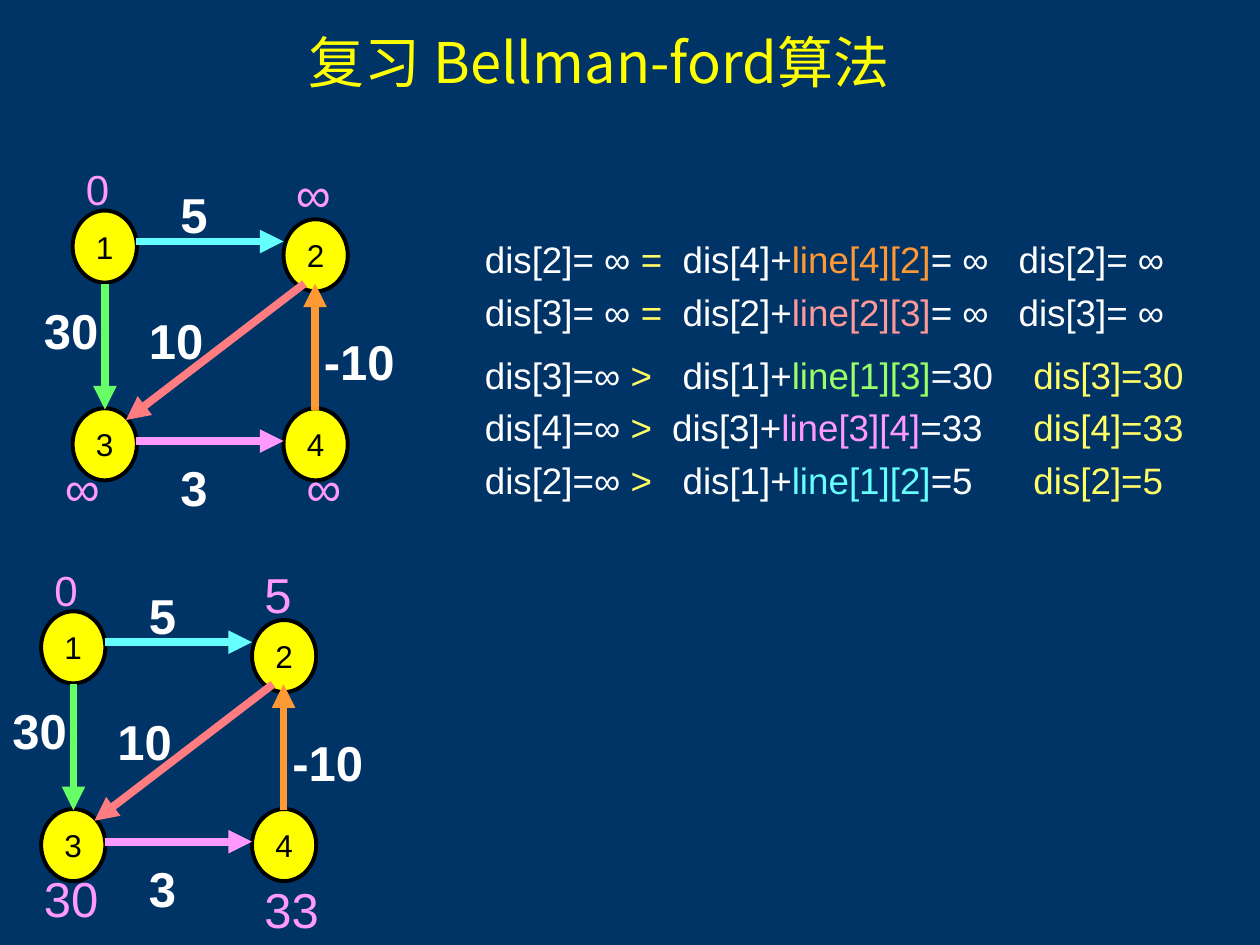
from lxml.etree import SubElement
from pptx import Presentation
from pptx.dml.color import RGBColor
from pptx.enum.shapes import MSO_CONNECTOR as CONNECTOR, MSO_SHAPE as SHAPE
from pptx.enum.text import MSO_ANCHOR as ANCHOR, PP_ALIGN as ALIGN
from pptx.oxml.ns import qn
from pptx.util import Pt

NAVY, WHITE, BLACK, YELLOW = "003366", "FFFFFF", "000000", "FFFF00"
PALE_YELLOW, PINK, ORANGE, CYAN = "FFFF66", "FF99FF", "FF9933", "66FFFF"
CJK_FONT = "Noto Sans CJK SC"

# Graph geometry in points, relative to the upper graph
NODES = {"1": (41.5, 120.3), "2": (162, 125.3),
         "3": (41.5, 233.3), "4": (162, 233.3)}
NODE_W, NODE_H = 36.7, 41.2
# from, to, colour, weight, weight position
EDGES = [
    ((60, 162), (60, 234), "66FF66", "30", (18, 168)),
    ((78, 252), (162, 252), PINK, "3", (96, 258)),
    ((180, 234), (180, 162), ORANGE, "-10", (178, 186)),
    ((174, 162), (72, 240), "FF7C80", "10", (78, 174)),
    ((78, 138), (162, 138), CYAN, "5", (96, 102)),
]

# Graph origin, then the distance shown at each node: text, x, y, size
GRAPHS = [
    ((0, 0), [("0", 42, 90, 24), ("∞", 162, 90, 28),
              ("∞", 30, 258, 28), ("∞", 168, 258, 28)]),
    ((-18, 229), [("0", 42, 90, 24), ("5", 162, 90, 28),
                  ("30", 36, 264, 28), ("33", 162, 270, 28)]),
]

# top, old distance, sign, source, edge, edge colour, sum, result,
# result colour, tab stops
RELAXATIONS = [
    (132, "dis[2]= ∞ ", "=", "dis[4]+", "line[4][2]", ORANGE,
     "= ∞", "dis[2]= ∞", WHITE, (113, 305)),
    (162, "dis[3]= ∞ ", "=", "dis[2]+", "line[2][3]", "FF9999",
     "= ∞", "dis[3]= ∞", WHITE, (113, 305)),
    (198, "dis[3]=∞ ", ">", "dis[1]+", "line[1][3]", "99FF66",
     "=30", "dis[3]=30", PALE_YELLOW, (113, 313.5)),
    (228, "dis[4]=∞ ", ">", "dis[3]+", "line[3][4]", PINK,
     "=33", "dis[4]=33", PALE_YELLOW, (107, 313.5)),
    (258, "dis[2]=∞ ", ">", "dis[1]+", "line[1][2]", CYAN,
     "=5", "dis[2]=5", PALE_YELLOW, (113, 313.5)),
]


def rgb(value):
    return RGBColor.from_string(value)


def set_font(paragraph, size, color=None, bold=False, name="Arial"):
    font = paragraph.font
    font.name, font.size, font.bold = name, Pt(size), bold
    if color:
        font.color.rgb = rgb(color)


def add_text(slide, text, x, y, width, height, size, color,
             bold=False, name="Arial"):
    box = slide.shapes.add_textbox(Pt(x), Pt(y), Pt(width), Pt(height))
    box.text_frame.word_wrap = True
    paragraph = box.text_frame.paragraphs[0]
    paragraph.text = text
    set_font(paragraph, size, color, bold, name)
    return box


def add_node(slide, number, x, y):
    node = slide.shapes.add_shape(SHAPE.OVAL, Pt(x), Pt(y),
                                  Pt(NODE_W), Pt(NODE_H))
    node.shadow.inherit = False
    node.fill.solid()
    node.fill.fore_color.rgb = rgb(YELLOW)
    node.line.color.rgb = rgb(BLACK)
    node.line.width = Pt(2.25)
    node.text_frame.vertical_anchor = ANCHOR.MIDDLE
    label = node.text_frame.paragraphs[0]
    label.text = number
    label.alignment = ALIGN.CENTER
    set_font(label, 18)
    label.runs[0].font.color.rgb = rgb(BLACK)


def add_arrow(slide, x1, y1, x2, y2, color):
    arrow = slide.shapes.add_connector(CONNECTOR.STRAIGHT, Pt(x1), Pt(y1),
                                       Pt(x2), Pt(y2))
    arrow.line.color.rgb = rgb(color)
    arrow.line.width = Pt(4.5)
    SubElement(arrow.line._get_or_add_ln(), qn("a:tailEnd"), type="triangle")
    SubElement(arrow._element.spPr, qn("a:effectLst"))


def add_graph(slide, origin, distances):
    dx, dy = origin
    for number, (x, y) in NODES.items():
        add_node(slide, number, x + dx, y + dy)
    for (x1, y1), (x2, y2), color, _, _ in EDGES:
        add_arrow(slide, x1 + dx, y1 + dy, x2 + dx, y2 + dy, color)
    for _, _, _, weight, (x, y) in EDGES:
        add_text(slide, weight, x + dx, y + dy, 66, 41, 28, WHITE, bold=True)
    for distance, x, y, size in distances:
        width = 36 if len(distance) == 1 else 50
        add_text(slide, distance, x + dx, y + dy, width, size * 1.2 + 7.2,
                 size, PINK)


def add_relaxation(slide, top, old, sign, source, edge, edge_color,
                   total, result, result_color, stops):
    box = slide.shapes.add_textbox(Pt(270), Pt(top), Pt(432), Pt(32.4))
    box.text_frame.word_wrap = True
    paragraph = box.text_frame.paragraphs[0]
    tabs = SubElement(paragraph._p.get_or_add_pPr(), qn("a:tabLst"))
    for stop in stops:
        SubElement(tabs, qn("a:tab"), pos=str(int(Pt(stop))), algn="l")
    set_font(paragraph, 21)
    for text, color in [(old, WHITE), (sign, PALE_YELLOW),
                        ("\t" + source, WHITE), (edge, edge_color),
                        (total + "\t", WHITE), (result, result_color)]:
        run = paragraph.add_run()
        run.text = text
        run.font.color.rgb = rgb(color)


def add_title(slide):
    title = add_text(slide, "复习 Bellman-ford算法", 169.2, 12, 361.4, 84,
                     32, YELLOW, name=CJK_FONT)
    title.text_frame.word_wrap = False
    run = title.text_frame.paragraphs[0].runs[0]
    SubElement(run._r.get_or_add_rPr(), qn("a:ea"), typeface=CJK_FONT)


def main():
    deck = Presentation()
    deck.slide_width, deck.slide_height = Pt(720), Pt(540)
    slide = deck.slides.add_slide(deck.slide_layouts[6])
    slide.background.fill.solid()
    slide.background.fill.fore_color.rgb = rgb(NAVY)

    # Graph before and after the first round
    for origin, distances in GRAPHS:
        add_graph(slide, origin, distances)
    # Relaxation steps
    for step in RELAXATIONS:
        add_relaxation(slide, *step)
    add_title(slide)

    deck.save("out.pptx")


if __name__ == "__main__":
    main()
